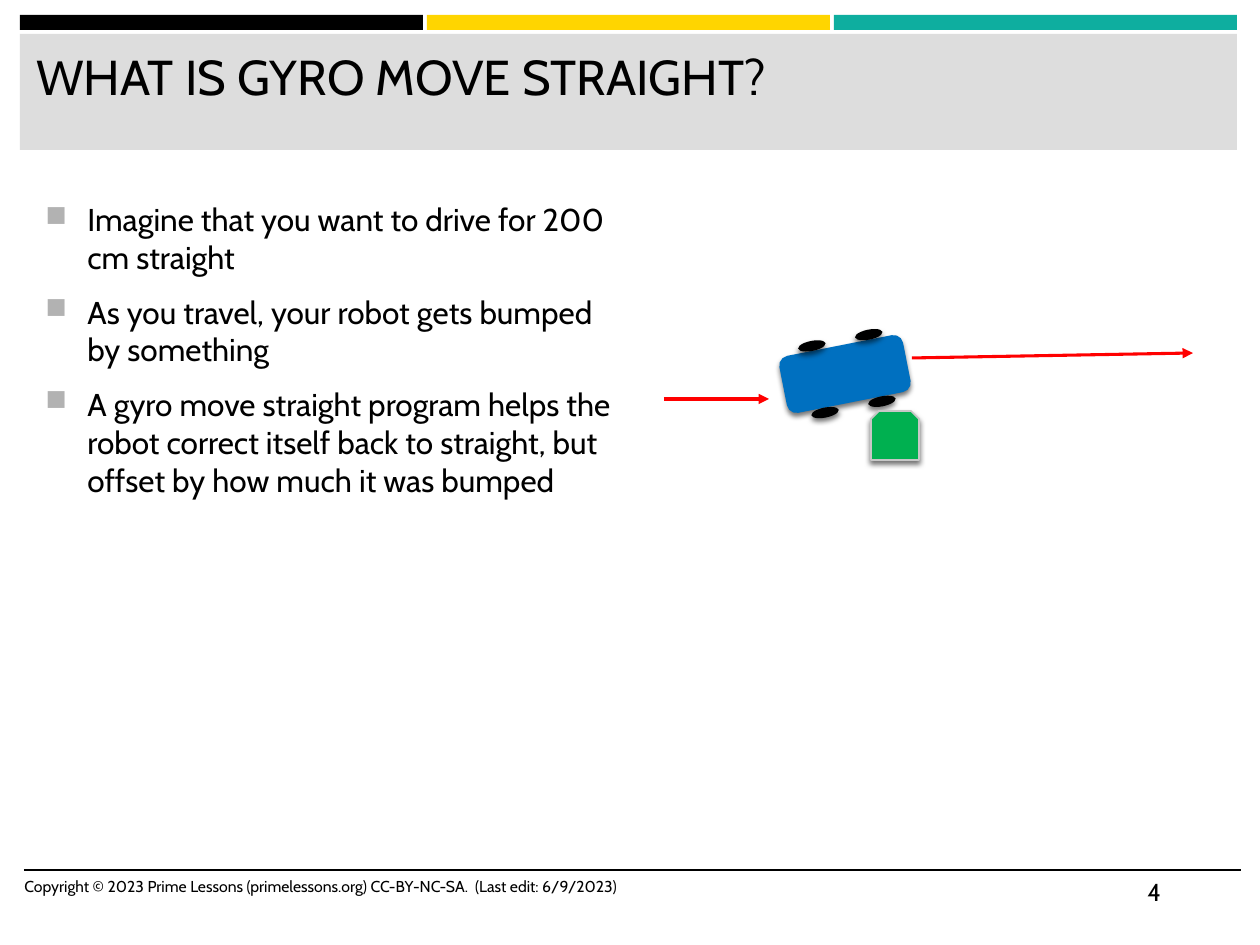
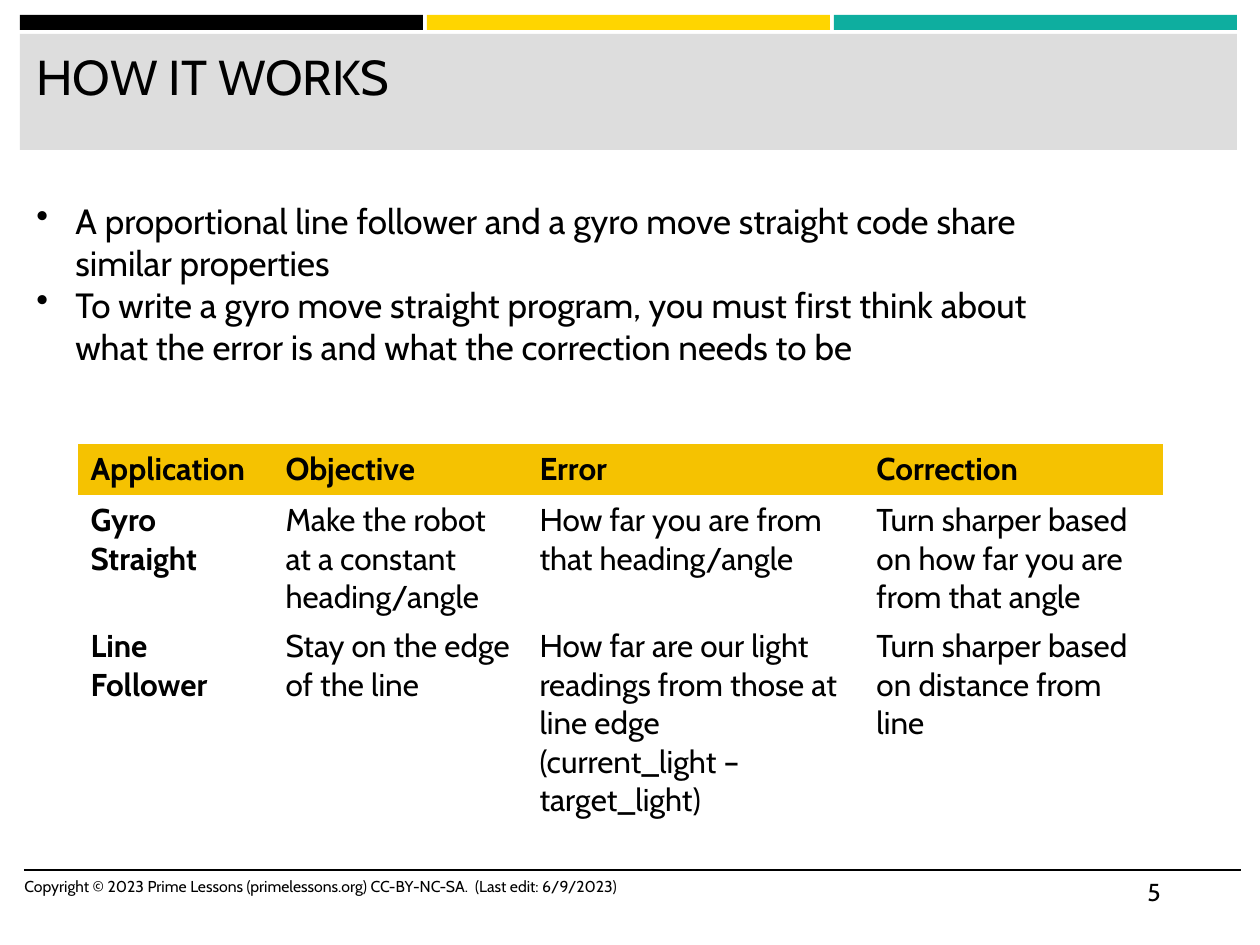
import pptx
import pptx.dml.color
import pptx.enum.shapes
import pptx.enum.text
import pptx.oxml
import pptx.oxml.ns
import pptx.util
from lxml import etree

SHAPES = pptx.enum.shapes.MSO_SHAPE
EMU_PER_PX = 914400 / 126
FONT = "Cabin"
NO_GRID_STYLE = "{2D5ABB26-0587-4C30-8999-92F81FD0307C}"
COLORS = {
    "text": "000000",
    "black": "000000",
    "yellow": "FFD500",
    "teal": "0EAE9F",
    "title_band": "DDDDDD",
    "bullet": "B2B2B2",
    "robot": "0070C0",
    "obstacle": "00B050",
    "obstacle_edge": "C7C7C7",
    "route": "FF0000",
    "table_header": "F5C201",
}
COPYRIGHT = "Copyright © 2023 Prime Lessons (primelessons.org) CC-BY-NC-SA.  (Last edit: 6/9/2023)"
GYRO_POINTS = [
    "Imagine that you want to drive for 200 cm straight",
    "As you travel, your robot gets bumped by something",
    "A gyro move straight program helps the robot correct itself back to straight, "
    "but offset by how much it was bumped",
]
METHOD_POINTS = [
    "A proportional line follower and a gyro move straight code share similar properties",
    "To write a gyro move straight program, you must first think about what the error is "
    "and what the correction needs to be",
]
COMPARISON = [
    ["Application", "Objective", "Error", "Correction"],
    ["Gyro Straight", "Make the robot at a constant heading/angle",
     "How far you are from that heading/angle",
     "Turn sharper based on how far you are from that angle"],
    ["Line Follower", "Stay on the edge of the line",
     "How far are our light readings from those at line edge\v(current_light – target_light)",
     "Turn sharper based on distance from line"],
]


def px(length):
    return pptx.util.Emu(round(length * EMU_PER_PX))


def box(*lengths):
    return [px(length) for length in lengths]


def rgb(name):
    return pptx.dml.color.RGBColor.from_string(COLORS[name])


def add_element(parent, tag, **attributes):
    element = etree.SubElement(parent, pptx.oxml.ns.qn(tag))
    for name, value in attributes.items():
        element.set(name, str(value))
    return element


def add_bullet(paragraph, character, indent, color=None, percent=100):
    properties = paragraph._p.get_or_add_pPr()
    properties.set("marL", str(px(indent)))
    properties.set("indent", str(-px(indent)))
    if color:
        holder = add_element(properties, "a:buClr")
        add_element(holder, "a:srgbClr", val=COLORS[color])
    add_element(properties, "a:buSzPct", val=percent * 1000)
    add_element(properties, "a:buChar", char=character)


def write_text(frame, text, size=18, bold=False, color="text", space_after=0, bullet=None):
    frame.word_wrap = True
    lines = [text] if isinstance(text, str) else text
    for index, line in enumerate(lines):
        paragraph = frame.paragraphs[0] if index == 0 else frame.add_paragraph()
        paragraph.text = line
        paragraph.space_after = pptx.util.Pt(space_after)
        if bullet:
            add_bullet(paragraph, **bullet)
        for run in paragraph.runs:
            run.font.name = FONT
            run.font.size = pptx.util.Pt(size)
            run.font.bold = bold
            run.font.color.rgb = rgb(color)


def add_text(slide, bounds, text, **text_format):
    shape = slide.shapes.add_textbox(*box(*bounds))
    write_text(shape.text_frame, text, **text_format)
    return shape


def add_shadow(shape):
    effects = shape._element.spPr.find(pptx.oxml.ns.qn("a:effectLst"))
    shadow = add_element(effects, "a:outerShdw", blurRad=pptx.util.Pt(3),
                         dist=pptx.util.Pt(2), dir=5400000, rotWithShape=0)
    color = add_element(shadow, "a:srgbClr", val=COLORS["black"])
    add_element(color, "a:alpha", val=55000)


def add_filled_shape(shapes, kind, bounds, fill, edge=None, shadow=False):
    shape = shapes.add_shape(kind, *box(*bounds))
    shape.shadow.inherit = False
    shape.fill.solid()
    shape.fill.fore_color.rgb = rgb(fill)
    if edge:
        shape.line.color.rgb = rgb(edge)
        shape.line.width = pptx.util.Pt(1)
    else:
        shape.line.fill.background()
    if shadow:
        add_shadow(shape)
    return shape


def add_line(slide, ends, color, width, arrow=False):
    connector = slide.shapes.add_connector(
        pptx.enum.shapes.MSO_CONNECTOR.STRAIGHT, *box(*ends))
    connector.line.color.rgb = rgb(color)
    connector.line.width = pptx.util.Pt(width)
    if arrow:
        add_element(connector.line._get_or_add_ln(), "a:tailEnd", type="triangle")
    add_element(connector._element.spPr, "a:effectLst")


def add_lesson_slide(presentation, title, number):
    slide = presentation.slides.add_slide(presentation.slide_layouts[6])
    for index, color in enumerate(["black", "yellow", "teal"]):
        add_filled_shape(slide.shapes, SHAPES.RECTANGLE, (20 + 407 * index, 15, 403, 15), color)
    add_filled_shape(slide.shapes, SHAPES.RECTANGLE, (20, 34, 1217, 116), "title_band")
    add_line(slide, (24, 870, 1241, 870), "black", 1)
    add_text(slide, (24, 40, 1206, 103), title, size=28)
    add_text(slide, (12, 871, 672, 50), COPYRIGHT, size=9)
    add_text(slide, (1135, 871, 106, 50), str(number), size=14)
    return slide


def add_robot(slide, center_x, center_y, rotation):
    robot = slide.shapes.add_group_shape()
    add_filled_shape(robot.shapes, SHAPES.ROUNDED_RECTANGLE,
                     (center_x - 63, center_y - 29, 126, 58), "robot", shadow=True)
    for offset_x in (-27, 31):
        for offset_y in (-34, 34):
            add_filled_shape(robot.shapes, SHAPES.OVAL,
                             (center_x + offset_x - 14, center_y + offset_y - 5, 28, 10),
                             "black", shadow=True)
    robot.rotation = rotation


def add_comparison_table(slide, left, top, widths, row_height):
    frame = slide.shapes.add_table(len(COMPARISON), len(widths),
                                   *box(left, top, sum(widths), row_height * len(COMPARISON)))
    table = frame.table
    table.horz_banding = False
    table._tbl.tblPr.find(pptx.oxml.ns.qn("a:tableStyleId")).text = NO_GRID_STYLE
    for column, width in zip(table.columns, widths):
        column.width = px(width)
    for row_index, texts in enumerate(COMPARISON):
        table.rows[row_index].height = px(row_height)
        for column_index, text in enumerate(texts):
            cell = table.cell(row_index, column_index)
            if row_index == 0:
                cell.fill.solid()
                cell.fill.fore_color.rgb = rgb("table_header")
            else:
                cell.fill.background()
            write_text(cell.text_frame, text, bold=row_index == 0 or column_index == 0)


def build_gyro_slide(presentation):
    slide = add_lesson_slide(presentation, "WHAT IS GYRO MOVE STRAIGHT?", 4)
    add_text(slide, (33, 194, 602, 593), GYRO_POINTS, space_after=9.6,
             bullet={"character": "■", "indent": 42, "color": "bullet", "percent": 92})
    add_robot(slide, 845, 374, -11.2)
    add_line(slide, (912, 358, 1193, 353), "route", 1.75, arrow=True)
    add_filled_shape(slide.shapes, SHAPES.SNIP_2_SAME_RECTANGLE, (871, 411, 48, 49),
                     "obstacle", edge="obstacle_edge", shadow=True)
    add_line(slide, (664, 399, 769, 399), "route", 1.75, arrow=True)


def build_method_slide(presentation):
    slide = add_lesson_slide(presentation, "HOW IT WORKS", 5)
    add_comparison_table(slide, 78, 444, [195, 254, 337, 299], 51)
    points = add_text(slide, (24, 193, 1095, 183), METHOD_POINTS, size=20,
                      bullet={"character": "•", "indent": 39})
    points.text_frame.auto_size = pptx.enum.text.MSO_AUTO_SIZE.SHAPE_TO_FIT_TEXT


def main():
    presentation = pptx.Presentation()
    presentation.slide_width, presentation.slide_height = box(1260, 945)
    build_gyro_slide(presentation)
    build_method_slide(presentation)
    presentation.save("out.pptx")


if __name__ == "__main__":
    main()
